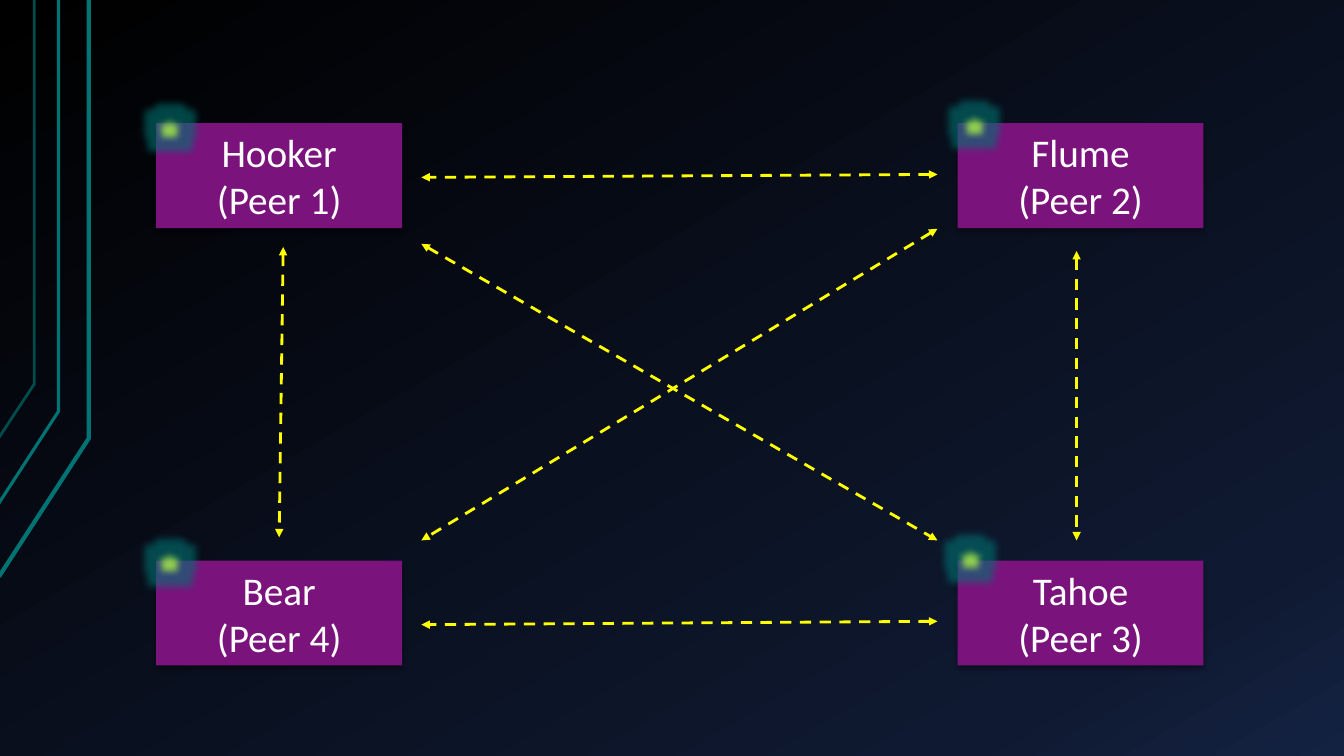
from copy import deepcopy
from dataclasses import dataclass

from pptx import Presentation
from pptx.dml.color import RGBColor
from pptx.enum.dml import MSO_LINE
from pptx.enum.shapes import MSO_CONNECTOR, MSO_SHAPE
from pptx.enum.text import MSO_ANCHOR, PP_ALIGN
from pptx.oxml import parse_xml
from pptx.oxml.ns import nsdecls, qn
from pptx.util import Pt


@dataclass(frozen=True)
class Theme:
    font: str = "Calibri"
    label_size: int = 28
    text: str = "FFFFFF"
    peer: str = "7B137D"
    link: str = "FFFF00"
    star: str = "92D050"
    teal: str = "007373"
    dim_teal: str = "004C4C"
    shadow: str = "000000"
    background: tuple = ((0, "000000"), (0.85, "0F1931"), (1, "142242"))


theme = Theme()


def color(value):
    return RGBColor.from_string(value)


def set_effects(shape, effects=""):
    shape.element.spPr.append(
        parse_xml(f"<a:effectLst {nsdecls('a')}>{effects}</a:effectLst>"))


presentation = Presentation()
presentation.slide_width = Pt(960)
presentation.slide_height = Pt(540)
slide = presentation.slides.add_slide(presentation.slide_layouts[6])

background = slide.background.fill
background.gradient()
background.gradient_angle = 300
stop_list = slide.element.find(".//" + qn("a:gsLst"))
stop_list.append(deepcopy(stop_list[0]))
for stop, (position, value) in zip(background.gradient_stops, theme.background):
    stop.position = position
    stop.color.rgb = color(value)

bent_lines = [
    (63.4, 313.2, 411.8, 3, theme.teal),
    (41.8, 293.8, 359.3, 2.25, theme.teal),
    (24.5, 274.3, 312.5, 2, theme.dim_teal),
]
for right, bend, bottom, weight, value in bent_lines:
    builder = slide.shapes.build_freeform(Pt(-0.7), Pt(bottom))
    builder.add_line_segments([(Pt(right), Pt(bend)), (Pt(right), 0)], close=False)
    bent_line = builder.convert_to_shape()
    bent_line.fill.background()
    bent_line.line.color.rgb = color(value)
    bent_line.line.width = Pt(weight)
    set_effects(bent_line)

left, right, top, bottom = 111.6, 684, 88, 400.4
peers = [
    ("Flume", 2, right, top),
    ("Bear", 4, left, bottom),
    ("Tahoe", 3, right, bottom),
    ("Hooker", 1, left, top),
]
for name, number, x, y in peers:
    peer = slide.shapes.add_shape(MSO_SHAPE.RECTANGLE, Pt(x), Pt(y), Pt(175.7), Pt(75))
    peer.fill.solid()
    peer.fill.fore_color.rgb = color(theme.peer)
    peer.line.fill.background()
    set_effects(peer, '<a:outerShdw blurRad="44450" dist="27940" dir="5400000" '
                f'algn="ctr" rotWithShape="0"><a:srgbClr val="{theme.shadow}">'
                '<a:alpha val="32000"/></a:srgbClr></a:outerShdw>')
    frame = peer.text_frame
    frame.vertical_anchor = MSO_ANCHOR.MIDDLE
    frame.text = f"{name}\n(Peer {number})"
    for paragraph in frame.paragraphs:
        paragraph.alignment = PP_ALIGN.CENTER
        paragraph.font.name = theme.font
        paragraph.font.size = Pt(theme.label_size)
        paragraph.font.color.rgb = color(theme.text)

links = [
    (202.3, 176.4, 199.4, 383.8),
    (301, 174.2, 669.6, 386),
    (669.6, 163.4, 301, 386),
    (669.6, 124.6, 301, 126.7),
    (769, 179.3, 769, 386),
    (669.6, 443.8, 301, 446.2),
]
for points in links:
    link = slide.shapes.add_connector(MSO_CONNECTOR.STRAIGHT, *map(Pt, points))
    link.line.color.rgb = color(theme.link)
    link.line.width = Pt(2)
    link.line.dash_style = MSO_LINE.DASH
    for end in ("headEnd", "tailEnd"):
        link.element.spPr.find(qn("a:ln")).append(
            parse_xml(f'<a:{end} {nsdecls("a")} type="triangle"/>'))
    set_effects(link)

for x, y in [(97.2, 68.4), (669, 376), (97.2, 378.7), (671.8, 66.2)]:
    star = slide.shapes.add_shape(MSO_SHAPE.STAR_5_POINT, Pt(x), Pt(y), Pt(48.2), Pt(43.2))
    star.fill.solid()
    star.fill.fore_color.rgb = color(theme.star)
    star.line.color.rgb = color(theme.star)
    star.line.width = Pt(2)
    set_effects(star, f'<a:glow rad="139700"><a:srgbClr val="{theme.teal}">'
                '<a:alpha val="60000"/></a:srgbClr></a:glow><a:softEdge rad="63500"/>')

presentation.save("out.pptx")
